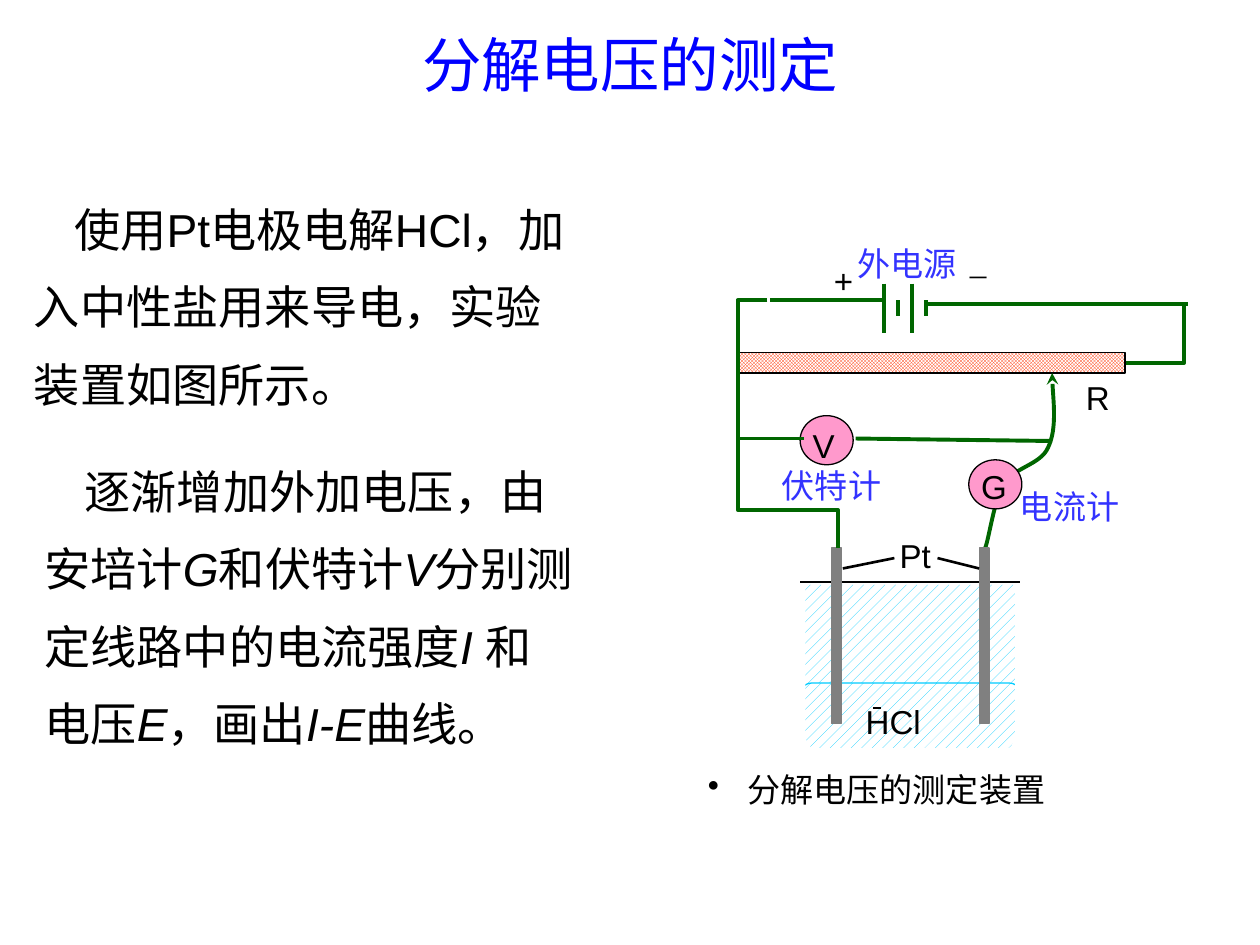
import pptx
import pptx.util
import pptx.dml.color
import pptx.enum.dml
import pptx.enum.shapes
import pptx.enum.text
import pptx.oxml
import pptx.oxml.ns
import lxml.etree

Cm, Pt = pptx.util.Cm, pptx.util.Pt
qn = pptx.oxml.ns.qn
Kind = pptx.enum.shapes.MSO_SHAPE
Link = pptx.enum.shapes.MSO_CONNECTOR
Hatch = pptx.enum.dml.MSO_PATTERN
Align = pptx.enum.text.PP_ALIGN
Fit = pptx.enum.text.MSO_AUTO_SIZE
Anchor = pptx.enum.text.MSO_ANCHOR
GREEN, BLACK, WHITE, GREY = "006600", "000000", "FFFFFF", "808080"
CYAN, PINK, BLUE = "00CCFF", "FF99CC", "3333FF"


def hue(code):
    return pptx.dml.color.RGBColor.from_string(code)


def wire(ends, code=GREEN, width=2.25, kind=Link.STRAIGHT):
    line = shapes.add_connector(kind, *[Cm(n) for n in ends])
    line.line.color.rgb = hue(code)
    line.line.width = Pt(width)
    lxml.etree.SubElement(line.element.spPr, qn("a:effectLst"))
    return line


deck = pptx.Presentation()
deck.slide_width, deck.slide_height = Cm(25.4), Cm(19.05)
slide = deck.slides.add_slide(deck.slide_layouts[3])
shapes = slide.shapes

# Title
title = shapes.title
title.left, title.top, title.width, title.height = Cm(1.9), Cm(0.43), Cm(21.6), Cm(1.7)
frame = title.text_frame
frame.text = "分解电压的测定"
frame.auto_size = Fit.NONE
frame.vertical_anchor = Anchor.MIDDLE
para = frame.paragraphs[0]
para.alignment = Align.CENTER
para.font.name, para.font.size = "Arial", Pt(34)
para.font.color.rgb = hue("0000FF")

# Body paragraphs: every second piece is an italic symbol
bodies = [
    (1, (0.43, 3.61, 11.63, 4.75), ["使用Pt电极电解HCl，加入中性盐用来导电，实验装置如图所示。"]),
    (2, (0.64, 8.89, 11.23, 6.35),
     ["逐渐增加外加电压，由安培计", "G", "和伏特计", "V", "分别测定线路中的电流强度",
      "I ", "和电压", "E", "，画出", "I-E", "曲线。"]),
]
for idx, box, parts in bodies:
    body = slide.placeholders[idx]
    body.left, body.top, body.width, body.height = [Cm(n) for n in box]
    frame = body.text_frame
    frame.auto_size = Fit.NONE
    frame.margin_top = frame.margin_bottom = 0
    para = frame.paragraphs[0]
    para.line_spacing, para.space_before = 1.4, Pt(0)
    props = para._p.get_or_add_pPr()
    props.set("marL", "0")
    props.set("indent", str(Cm(0.81)))
    lxml.etree.SubElement(props, qn("a:buNone"))
    for i, part in enumerate(parts):
        run = para.add_run()
        run.text = part
        run.font.name, run.font.size = "Arial", Pt(26.4)
        run.font.italic = i % 2 == 1
        run.font.color.rgb = hue(BLACK)

# Curved lead from the cell to the slider: start, then three Bezier triples
curve = [(19.86, 11.05), (19.94, 10.85), (20.04, 10.08), (20.24, 9.75), (20.45, 9.42),
         (20.98, 9.37), (21.13, 9.02), (21.31, 8.64), (21.21, 7.85), (21.21, 7.52)]
# Cell wall with cut corners
wall = [(16.13, 10.97), (16.13, 14.91), (16.23, 15.11), (16.36, 15.19),
        (20.37, 15.19), (20.47, 15.11), (20.57, 14.91), (20.57, 10.97)]
lead = None

# Hatched parts: liquid and resistor
hatched = [
    (Kind.RECTANGLE, (16.13, 11.79, 4.45, 2.21), Hatch.DASHED_UPWARD_DIAGONAL, CYAN, None),
    (Kind.ROUNDED_RECTANGLE, (16.13, 13.77, 4.45, 1.4), Hatch.DASHED_UPWARD_DIAGONAL, CYAN, CYAN),
    (Kind.RECTANGLE, (14.86, 7.11, 7.82, 0.41), Hatch.SMALL_CHECKER_BOARD, "FF3300", BLACK),
]
for kind, box, hatch, code, edge in hatched:
    part = shapes.add_shape(kind, *[Cm(n) for n in box])
    part.shadow.inherit = False
    part.fill.patterned()
    part.fill.pattern = hatch
    part.fill.fore_color.rgb, part.fill.back_color.rgb = hue(code), hue(WHITE)
    if edge:
        part.line.color.rgb, part.line.width = hue(edge), Pt(0.75)
    else:
        part.line.fill.background()

# Outlines
for dots, code, width in [(wall, WHITE, 6), (curve, GREEN, 2.25)]:
    (x, y), *rest = [(Cm(a), Cm(b)) for a, b in dots]
    build = shapes.build_freeform(x, y)
    build.add_line_segments(rest, close=False)
    lead = build.convert_to_shape()
    lead.shadow.inherit = False
    lead.fill.background()
    lead.line.color.rgb, lead.line.width = hue(code), Pt(width)

# Bend the lead and give it an arrowhead
trace = lead.element.find(".//" + qn("a:path"))
steps = trace.findall(qn("a:lnTo"))
for i in range(0, len(steps), 3):
    bend = lxml.etree.SubElement(trace, qn("a:cubicBezTo"))
    for step in steps[i:i + 3]:
        bend.append(step[0])
        trace.remove(step)
lxml.etree.SubElement(lead.line._get_or_add_ln(), qn("a:tailEnd"), type="stealth")

# Surface of the liquid
wire((16.13, 11.73, 20.57, 11.73), BLACK, 0.75)

# Electrodes and meters
solid = [(Kind.RECTANGLE, (x, 11.05, 0.2, 3.53), GREY, GREY) for x in (16.76, 19.74)]
solid += [(Kind.OVAL, (x, y, 1.07, 0.99), PINK, BLACK) for x, y in [(16.13, 8.38), (19.53, 9.27)]]
for kind, box, code, edge in solid:
    part = shapes.add_shape(kind, *[Cm(n) for n in box])
    part.shadow.inherit = False
    part.fill.solid()
    part.fill.fore_color.rgb = hue(code)
    part.line.color.rgb, part.line.width = hue(edge), Pt(0.75)

# Battery plates, long and short in turn
for i in range(4):
    x = 17.83 + 0.28 * i
    top, end = (6.05, 6.38) if i % 2 else (5.72, 6.71)
    wire((x, top, x, end))

# Straight wires
for ends in [(15.52, 6.05, 17.81, 6.05), (18.67, 6.12, 23.9, 6.12),
             (14.86, 8.84, 16.21, 8.84), (17.25, 8.84, 21.21, 8.89)]:
    wire(ends)

# Bent wires
for ends, preset, bends in [((15.47, 6.05, 16.89, 11.05), "bentConnector4", (-42200, 84600)),
                            ((23.95, 6.12, 22.71, 7.32), "bentConnector3", (6800,))]:
    geom = wire(ends, kind=Link.ELBOW).element.spPr.find(qn("a:prstGeom"))
    geom.set("prst", preset)
    guides = geom.find(qn("a:avLst"))
    for i, bend in enumerate(bends, 1):
        name = "adj" if preset == "bentConnector1" else f"adj{i}"
        lxml.etree.SubElement(guides, qn("a:gd"), name=name, fmla=f"val {bend}")

# Leaders to the electrodes and mark in the liquid
wire((16.99, 11.46, 18.03, 11.25), BLACK, 1.5)
wire((19.74, 11.46, 18.9, 11.25), BLACK, 1.5)
wire((17.6, 14.27, 17.75, 14.27), BLACK, 0.75)

# Labels and caption
caption = "分解电压的测定装置"
labels = [
    ("Pt", 17.83, 10.67, 1.24, BLACK, Align.CENTER),
    ("V", 16.13, 8.46, 1.07, BLACK, Align.LEFT),
    ("R", 21.64, 7.49, 1.07, BLACK, Align.LEFT),
    ("HCl", 17.2, 14.02, 2.74, BLACK, Align.LEFT),
    ("外电源", 16.76, 4.78, 3.05, BLUE, Align.CENTER),
    ("伏特计", 14.86, 9.25, 3.81, BLUE, Align.CENTER),
    ("电流计", 19.94, 9.68, 3.25, BLUE, Align.CENTER),
    ("+", 16.56, 5.13, 1.07, BLACK, Align.LEFT),
    ("_", 19.3, 4.75, 1.07, BLACK, Align.LEFT),
    ("G", 19.53, 9.27, 1.07, BLACK, Align.LEFT),
    (caption, 14.02, 15.39, 8.26, BLACK, Align.LEFT),
]
for text, x, y, width, code, align in labels:
    frame = shapes.add_textbox(Cm(x), Cm(y), Cm(width), Cm(1.07)).text_frame
    frame.word_wrap = True
    frame.text = text
    para = frame.paragraphs[0]
    para.alignment = align
    if text == caption:
        props = para._p.get_or_add_pPr()
        props.set("marL", str(Cm(0.79)))
        props.set("indent", str(-Cm(0.79)))
        lxml.etree.SubElement(props, qn("a:buChar"), char="•")
    font = para.runs[0].font
    font.name = "Times New Roman" if text == "_" else "Arial"
    font.size = Pt(18.9)
    font.color.rgb = hue(code)

deck.save("out.pptx")
